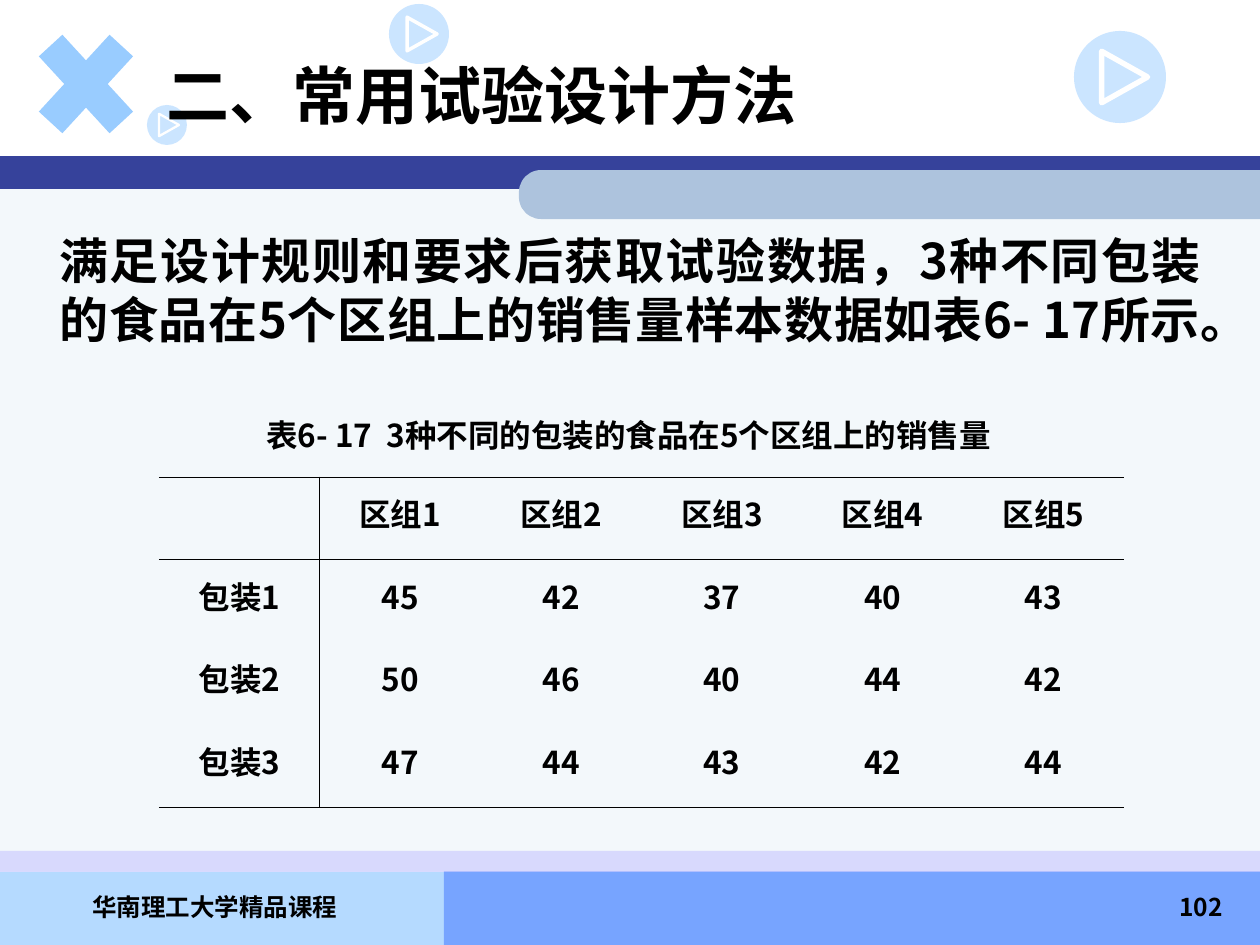
import pptx
import pptx.dml.color
import pptx.enum.shapes
import pptx.enum.text
import pptx.oxml.ns
import pptx.oxml.xmlchemy
import pptx.util
from lxml import etree

RGBColor = pptx.dml.color.RGBColor
MSO_SHAPE = pptx.enum.shapes.MSO_SHAPE
PP_ALIGN = pptx.enum.text.PP_ALIGN
MSO_ANCHOR = pptx.enum.text.MSO_ANCHOR
Pt = pptx.util.Pt
qn = pptx.oxml.ns.qn

BLACK = RGBColor(0x00, 0x00, 0x00)
WHITE = RGBColor(0xFF, 0xFF, 0xFF)
PALE = RGBColor(0xF3, 0xF8, 0xFB)
NAVY = RGBColor(0x36, 0x42, 0x9B)
STEEL = RGBColor(0xAD, 0xC3, 0xDD)
SKY = RGBColor(0x99, 0xCC, 0xFF)
LAVENDER = RGBColor(0xCC, 0xCC, 0xFF)
FOOT_LEFT = RGBColor(0xB5, 0xDA, 0xFF)
FOOT_RIGHT = RGBColor(0x77, 0xA4, 0xFF)

FONT = "Noto Sans CJK SC"
FOOT_FONT = "Noto Sans CJK KR"
NO_STYLE = "{2D5ABB26-0587-4C30-8999-92F81FD0307C}"
SALES = [
    ["", "区组1", "区组2", "区组3", "区组4", "区组5"],
    ["包装1", "45", "42", "37", "40", "43"],
    ["包装2", "50", "46", "40", "44", "42"],
    ["包装3", "47", "44", "43", "42", "44"],
]


def px(n):
    return round(n * 914400 / 126)


def add_filled(s, kind, x, y, w, h, color, opacity=100):
    sp = s.shapes.add_shape(kind, px(x), px(y), px(w), px(h))
    sp.shadow.inherit = False
    sp.line.fill.background()
    sp.fill.solid()
    sp.fill.fore_color.rgb = color
    if opacity < 100:
        clr = sp.element.spPr.find(qn("a:solidFill")).find(qn("a:srgbClr"))
        etree.SubElement(clr, qn("a:alpha"), val=str(opacity * 1000))
    return sp


def write(tf, text, size, align, font=FONT):
    p = tf.paragraphs[0]
    p.alignment = align
    r = p.add_run()
    r.text = text
    r.font.name = font
    r.font.size = Pt(size)
    r.font.bold = True
    r.font.color.rgb = BLACK
    etree.SubElement(r.font._element, qn("a:ea"), typeface=font)
    return p


def add_text(s, x, y, w, h, text, size, align, anchor=MSO_ANCHOR.TOP, font=FONT):
    tf = s.shapes.add_textbox(px(x), px(y), px(w), px(h)).text_frame
    tf.word_wrap = True
    tf.vertical_anchor = anchor
    write(tf, text, size, align, font)


def play_badge(s, x, y, d):
    """Translucent disc of diameter d with an outlined play triangle."""
    add_filled(s, MSO_SHAPE.OVAL, x, y, d, d, SKY, 50)
    left, right = px(x + 0.3 * d), px(x + 0.8 * d)
    top, mid, bottom = (px(y + f * d) for f in (0.22, 0.5, 0.78))
    fb = s.shapes.build_freeform(left, top)
    fb.add_line_segments([(right, mid), (left, bottom)], close=True)
    sp = fb.convert_to_shape()
    sp.shadow.inherit = False
    sp.fill.background()
    sp.line.color.rgb = WHITE
    sp.line.width = Pt(round(d / 30, 1))


def backdrop(s, x, y, w):
    rect = MSO_SHAPE.RECTANGLE
    add_filled(s, rect, x, y + 872, 536, 73, FOOT_LEFT)
    add_filled(s, rect, x + 444, y + 871, w - 444, 74, FOOT_RIGHT)
    add_filled(s, rect, x, y + 176, w, 695, PALE)
    add_filled(s, rect, x, y + 156, w, 33, NAVY)
    # An upright tab turned a quarter left, so its round top faces left.
    tab_w, tab_h = w - 519, 49
    tab = add_filled(s, MSO_SHAPE.ROUND_2_SAME_RECTANGLE,
                     x + 519 + (tab_w - tab_h) / 2, y + 170 - (tab_w - tab_h) / 2,
                     tab_h, tab_w, STEEL)
    tab.adjustments[0] = 0.45
    tab.rotation = 270
    add_filled(s, MSO_SHAPE.MATH_MULTIPLY, x + 18, y + 10, 136, 148, SKY)
    for dx, dy, d in [(389, 4, 60), (1074, 31, 92), (147, 105, 40)]:
        play_badge(s, x + dx, y + dy, d)
    add_filled(s, rect, x, y + 851, w, 21, LAVENDER, 69)


def footer(s, x, y):
    add_text(s, x + 15, y, 400, 63, "华南理工大学精品课程", 14, PP_ALIGN.CENTER, font=FOOT_FONT)
    add_text(s, x + 973, y, 262, 63, "102", 14, PP_ALIGN.RIGHT)


def title(s, x, y, w, h):
    sp = s.shapes.title
    sp.left, sp.top, sp.width, sp.height = px(x), px(y), px(w), px(h)
    tf = sp.text_frame
    tf.auto_size = pptx.enum.text.MSO_AUTO_SIZE.NONE
    tf.vertical_anchor = MSO_ANCHOR.MIDDLE
    write(tf, "二、常用试验设计方法", 36, PP_ALIGN.LEFT)
    s.shapes.element.append(sp.element)  # bring in front of the backdrop


def add_rules(cell, sides):
    tcPr = cell._tc.get_or_add_tcPr()
    for side in "LRTB":
        ln = etree.SubElement(tcPr, qn("a:ln" + side), w=str(Pt(0.45)))
        if side in sides:
            fill = etree.SubElement(ln, qn("a:solidFill"))
            etree.SubElement(fill, qn("a:srgbClr"), val=str(BLACK))
        else:
            etree.SubElement(ln, qn("a:noFill"))


def sales_table(s, x, y, w, h):
    n_rows, n_cols = len(SALES), len(SALES[0])
    frame = s.shapes.add_table(n_rows, n_cols, px(x), px(y), px(w), px(h))
    table = frame.table
    table.first_row = table.horz_banding = False
    table._tbl.tblPr.find(qn("a:tableStyleId")).text = NO_STYLE
    for col in table.columns:
        col.width = px(w / n_cols)
    for i, values in enumerate(SALES):
        table.rows[i].height = px(h / n_rows)
        for j, value in enumerate(values):
            cell = table.cell(i, j)
            cell.vertical_anchor = MSO_ANCHOR.MIDDLE
            cell.margin_left = cell.margin_right = px(10)
            sides = {0: "TB", 1: "T", n_rows - 1: "B"}.get(i, "")
            sides += {0: "R", 1: "L"}.get(j, "")
            add_rules(cell, sides)
            cell.fill.background()
            if value:
                p = write(cell.text_frame, value, 18, PP_ALIGN.CENTER)
                p.line_spacing = Pt(20)


def content(s, x, y):
    add_text(s, x, y, 1166, 248,
             "满足设计规则和要求后获取试验数据，3种不同包装的食品在5个区组上的销售量样本数据如表6- 17所示。",
             28, PP_ALIGN.JUSTIFY)
    sales_table(s, x + 112, y + 253, 965, 330)
    add_text(s, x + 192, y + 186, 779, 50,
             "表6- 17  3种不同的包装的食品在5个区组上的销售量",
             18, PP_ALIGN.CENTER, MSO_ANCHOR.MIDDLE)


def main():
    prs = pptx.Presentation()
    prs.slide_width, prs.slide_height = px(1260), px(945)
    s = prs.slides.add_slide(prs.slide_layouts[5])
    backdrop(s, 0, 0, 1260)
    footer(s, 0, 886)
    title(s, 154, 21, 1071, 147)
    content(s, 47, 224)
    prs.save("out.pptx")


if __name__ == "__main__":
    main()
